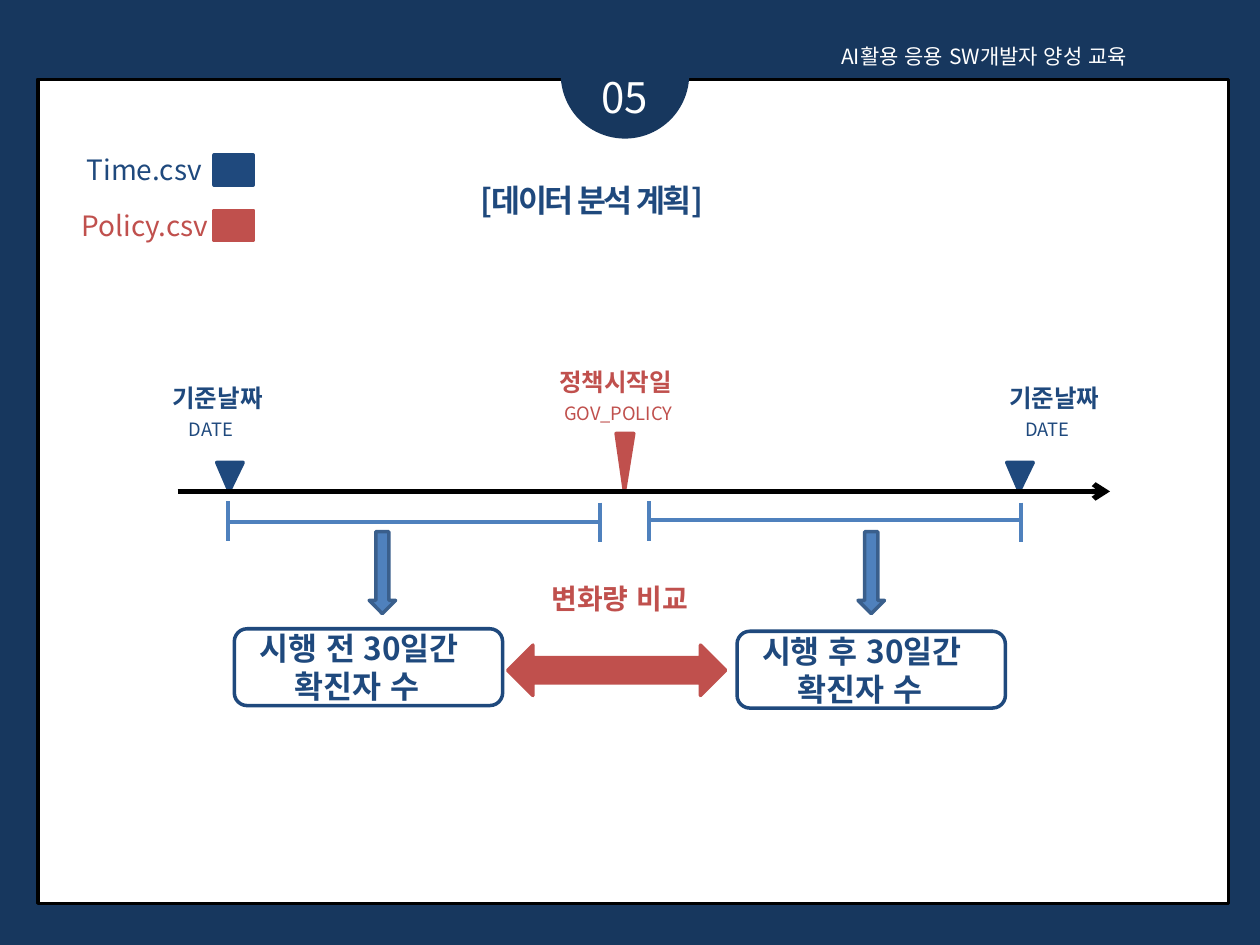
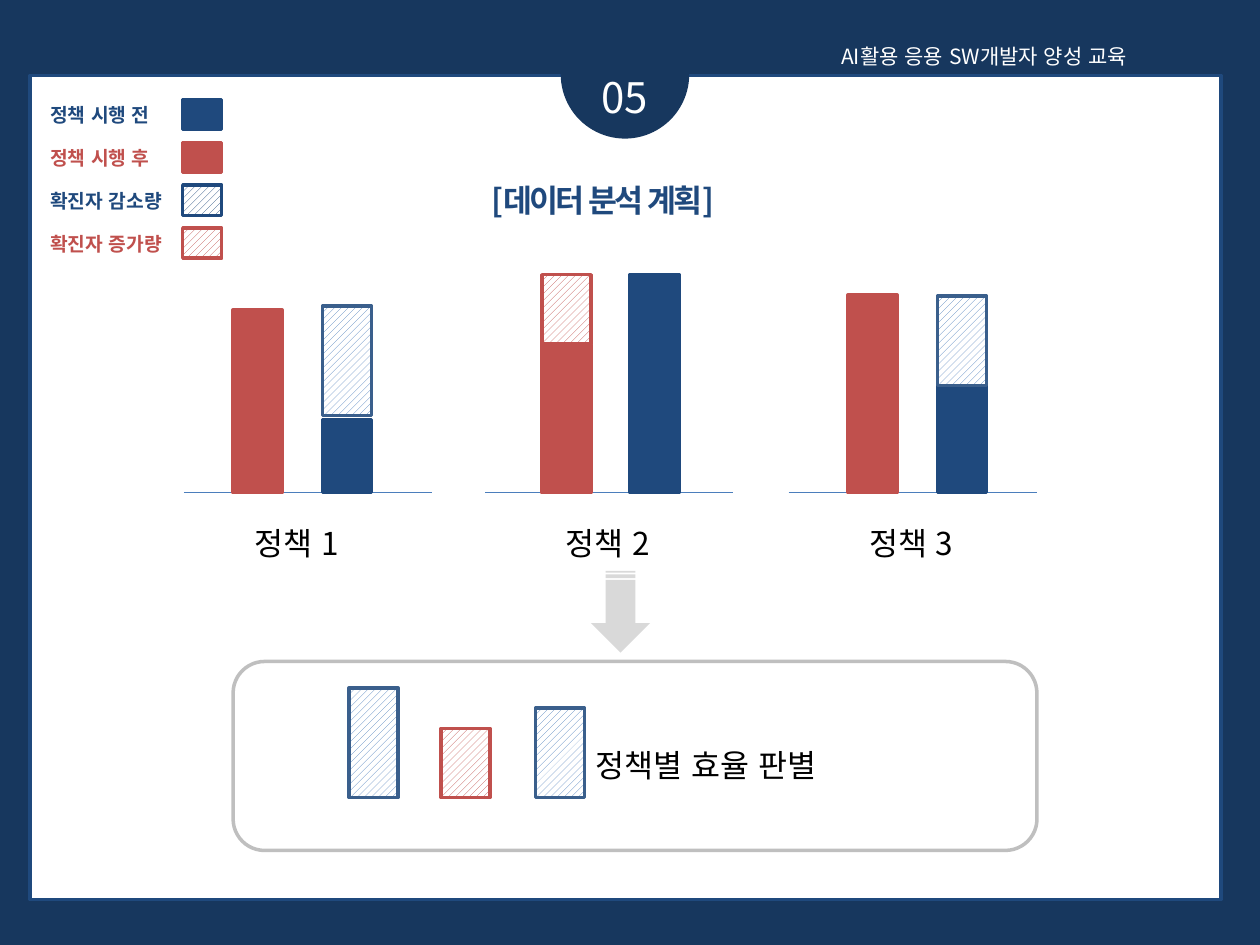
from dataclasses import dataclass

from lxml.etree import SubElement
from pptx import Presentation
from pptx.dml.color import RGBColor
from pptx.enum.dml import MSO_PATTERN
from pptx.enum.shapes import MSO_CONNECTOR, MSO_SHAPE
from pptx.enum.text import MSO_ANCHOR, MSO_AUTO_SIZE, PP_ALIGN
from pptx.oxml.ns import qn
from pptx.util import Inches, Pt


@dataclass(frozen=True)
class Theme:
    font: str = "Noto Sans CJK KR"
    backdrop: str = "17375E"
    navy: str = "1F497D"
    red: str = "C0504D"
    blue: str = "4F81BD"
    blue_edge: str = "3A5F8C"
    baseline: str = "4B7EBC"
    white: str = "FFFFFF"
    black: str = "000000"
    pale_gray: str = "D9D9D9"
    gray: str = "BFBFBF"
    number: float = 24
    title: float = 18
    label: float = 16
    event: float = 14
    header: float = 12
    legend: float = 11
    column: float = 10.5


theme = Theme()


def draw(page, kind, at, fill=None, line=None, width=2, hatched=False):
    """Add a shape at left, top, width, height, or a line from x, y to x, y."""
    if isinstance(kind, MSO_CONNECTOR):
        shape = page.shapes.add_connector(kind, *map(Inches, at))
        SubElement(shape.element.spPr, qn("a:effectLst"))
    else:
        shape = page.shapes.add_shape(kind, *map(Inches, at))
        shape.shadow.inherit = False
        if hatched:
            shape.fill.patterned()
            shape.fill.pattern = MSO_PATTERN.WIDE_UPWARD_DIAGONAL
            shape.fill.fore_color.rgb = RGBColor.from_string(fill)
            shape.fill.back_color.rgb = RGBColor.from_string(theme.white)
        elif fill:
            shape.fill.solid()
            shape.fill.fore_color.rgb = RGBColor.from_string(fill)
        else:
            shape.fill.background()
    if line:
        shape.line.color.rgb = RGBColor.from_string(line)
        shape.line.width = Pt(width)
    else:
        shape.line.fill.background()
    return shape


def write(box, lines, color, align=PP_ALIGN.LEFT, spacing=0):
    """Fill a box with lines of (text, size, bold, indent, space before)."""
    frame = box.text_frame
    frame.word_wrap = True
    for index, (text, size, bold, indent, before) in enumerate(lines):
        para = frame.add_paragraph() if index else frame.paragraphs[0]
        para.alignment = align
        para.space_before = Pt(before)
        if indent:
            para._p.get_or_add_pPr().set("marL", str(Inches(indent)))
        span = para.add_run()
        span.text = text
        span.font.name = theme.font
        span.font.size = Pt(size)
        span.font.bold = bold
        span.font.color.rgb = RGBColor.from_string(color)
        properties = span.font._element
        properties.set("lang", "ko-KR")
        SubElement(properties, qn("a:ea")).set("typeface", theme.font)
        if spacing:
            properties.set("spc", str(spacing))


deck = Presentation()
deck.slide_width, deck.slide_height = Inches(10), Inches(7.5)
backdrop = deck.slide_master.background.fill
backdrop.solid()
backdrop.fore_color.rgb = RGBColor.from_string(theme.backdrop)

# Shared frame, section number, header and title
pages = []
for panel_at, panel_line, title_left in [
    ((0.3, 0.63, 9.45, 6.54), theme.black, 3.71),
    ((0.24, 0.6, 9.45, 6.54), theme.navy, 3.8),
]:
    page = deck.slides.add_slide(deck.slide_layouts[5])
    pages.append(page)
    draw(page, MSO_SHAPE.RECTANGLE, panel_at, theme.white, panel_line)
    draw(page, MSO_SHAPE.OVAL, (4.45, 0.08, 1.02, 1.02), theme.backdrop)
    for text, size, at in [
        ("05", theme.number, (4.37, 0.52, 1.18, 0.5)),
        ("AI활용 응용 SW개발자 양성 교육", theme.header, (5.84, 0.3, 3.94, 0.3)),
    ]:
        box = page.shapes.add_textbox(*map(Inches, at))
        write(box, [(text, size, False, 0, 0)], theme.white, PP_ALIGN.CENTER)
    title = page.shapes.title
    title.left, title.top = Inches(title_left), Inches(1.39)
    title.width, title.height = Inches(2.52), Inches(0.4)
    title.text_frame.auto_size = MSO_AUTO_SIZE.NONE
    title.text_frame.vertical_anchor = MSO_ANCHOR.TOP
    write(title, [("[데이터 분석 계획]", theme.title, True, 0, 0)], theme.navy, spacing=-150)
    title.element.getparent().append(title.element)  # in front of the panel

timeline_page, policy_page = pages

# Timeline: file legend
for text, color, label_left, label_top, swatch_top in [
    ("Time.csv", theme.navy, 0.59, 1.16, 1.23),
    ("Policy.csv", theme.red, 0.55, 1.61, 1.67),
]:
    box = timeline_page.shapes.add_textbox(
        Inches(label_left), Inches(label_top), Inches(1.26), Inches(0.37))
    write(box, [(text, theme.label, False, 0, 0)], color)
    draw(timeline_page, MSO_SHAPE.RECTANGLE, (1.7, swatch_top, 0.31, 0.24), color, color)

# Timeline: dated events with their markers
for name, column, color, text_at, marker_at, indents in [
    ("기준날짜", "DATE", theme.navy, (1.22, 2.99, 1.08, 0.57),
     (1.72, 3.67, 0.21, 0.23), (0.05, 0.18)),
    ("정책시작일", "GOV_POLICY", theme.red, (4.34, 2.86, 1.24, 0.81),
     (4.89, 3.44, 0.14, 0.46), (0, 0.04)),
    ("기준날짜", "DATE", theme.navy, (7.86, 2.99, 1.08, 0.57),
     (7.99, 3.67, 0.21, 0.23), (0.05, 0.18)),
]:
    marker = draw(timeline_page, MSO_SHAPE.ISOSCELES_TRIANGLE, marker_at, color, color)
    marker.rotation = 180
    marker.adjustments[0] = 0.53
    box = timeline_page.shapes.add_textbox(*map(Inches, text_at))
    write(box, [(name, theme.event, True, indents[0], 0),
                (column, theme.column, False, indents[1], 3.5)], color)

# Timeline: axis
axis = draw(timeline_page, MSO_CONNECTOR.STRAIGHT, (1.41, 3.9, 8.81, 3.9),
            line=theme.black, width=3)
SubElement(axis.line._get_or_add_ln(), qn("a:tailEnd")).set("type", "arrow")

# Timeline: 30-day spans, each leading to its case count
for text, start, middle, arrow_left, count_left, count_top in [
    ("시행 전 30일간", 1.81, 4.14, 2.93, 1.86, 4.99),
    ("시행 후 30일간", 5.15, 4.13, 6.81, 5.85, 5.01),
]:
    end = start + 2.95
    for ends in [
        (start, 3.98, start, 4.29),
        (end, 3.99, end, 4.3),
        (start, middle, end, middle),
    ]:
        draw(timeline_page, MSO_CONNECTOR.STRAIGHT, ends, line=theme.blue, width=2.25)
    draw(timeline_page, MSO_SHAPE.DOWN_ARROW, (arrow_left, 4.22, 0.21, 0.65),
         theme.blue, theme.blue_edge)
    count = draw(timeline_page, MSO_SHAPE.ROUNDED_RECTANGLE,
                 (count_left, count_top, 2.13, 0.61), theme.white, theme.navy)
    write(count, [(text, theme.title, True, 0.07, 0),
                  ("확진자 수", theme.title, True, 0.35, 0)], theme.navy)

# Timeline: comparison of the two counts
draw(timeline_page, MSO_SHAPE.LEFT_RIGHT_ARROW, (4.03, 5.12, 1.73, 0.4), theme.red, theme.red)
box = timeline_page.shapes.add_textbox(Inches(4.28), Inches(4.57), Inches(1.57), Inches(0.37))
write(box, [("변화량 비교", theme.label, True, 0, 0)], theme.red)

# Policies: legend
for row, (text, color, hatched) in enumerate([
    ("정책 시행 전", theme.navy, False),
    ("정책 시행 후", theme.red, False),
    ("확진자 감소량", theme.navy, True),
    ("확진자 증가량", theme.red, True),
]):
    offset = 0.34 * row
    box = policy_page.shapes.add_textbox(
        Inches(0.3), Inches(0.77 + offset), Inches(1.17), Inches(0.29))
    write(box, [(text, theme.legend, True, 0, 0)], color)
    draw(policy_page, MSO_SHAPE.RECTANGLE, (1.45, 0.79 + offset, 0.31, 0.24),
         color, color, hatched=hatched)

# Policies: pairs of bars standing on a baseline
bar_width, floor = 0.39, 3.91
for text, base_left, text_left, red_bar, navy_bar in [
    ("정책 1", 1.46, 1.92, (1.85, 2.46), (2.56, 3.33)),
    ("정책 2", 3.85, 4.39, (4.3, 2.74), (5, 2.18)),
    ("정책 3", 6.26, 6.8, (6.73, 2.34), (7.44, 3.04)),
]:
    draw(policy_page, MSO_CONNECTOR.STRAIGHT, (base_left, floor, base_left + 1.97, floor),
         line=theme.baseline, width=0.75)
    for (left, top), color in [(red_bar, theme.red), (navy_bar, theme.navy)]:
        draw(policy_page, MSO_SHAPE.RECTANGLE, (left, top, bar_width, floor - top), color, color)
    box = policy_page.shapes.add_textbox(
        Inches(text_left), Inches(4.11), Inches(1.18), Inches(0.4))
    write(box, [(text, theme.title, False, 0, 0)], theme.black)

# Policies: arrow to the result panel
arrow = draw(policy_page, MSO_SHAPE.STRIPED_RIGHT_ARROW, (4.6, 4.62, 0.65, 0.47),
             theme.pale_gray)
arrow.rotation = 90
draw(policy_page, MSO_SHAPE.ROUNDED_RECTANGLE, (1.85, 5.25, 6.38, 1.5), line=theme.gray)
box = policy_page.shapes.add_textbox(Inches(4.63), Inches(5.87), Inches(2.5), Inches(0.4))
write(box, [("정책별 효율 판별", theme.title, False, 0, 0)], theme.black)

# Policies: each change above its bar, repeated in the result panel
result_floor = 6.33
for left, top, result_left, height, fill, edge in [
    (2.56, 2.43, 2.77, 0.87, theme.blue, theme.blue_edge),
    (4.3, 2.18, 3.5, 0.55, theme.red, theme.red),
    (7.44, 2.35, 4.25, 0.71, theme.blue, theme.blue_edge),
]:
    for x, y in [(left, top), (result_left, result_floor - height)]:
        draw(policy_page, MSO_SHAPE.RECTANGLE, (x, y, bar_width, height),
             fill, edge, hatched=True)

deck.save("out.pptx")
